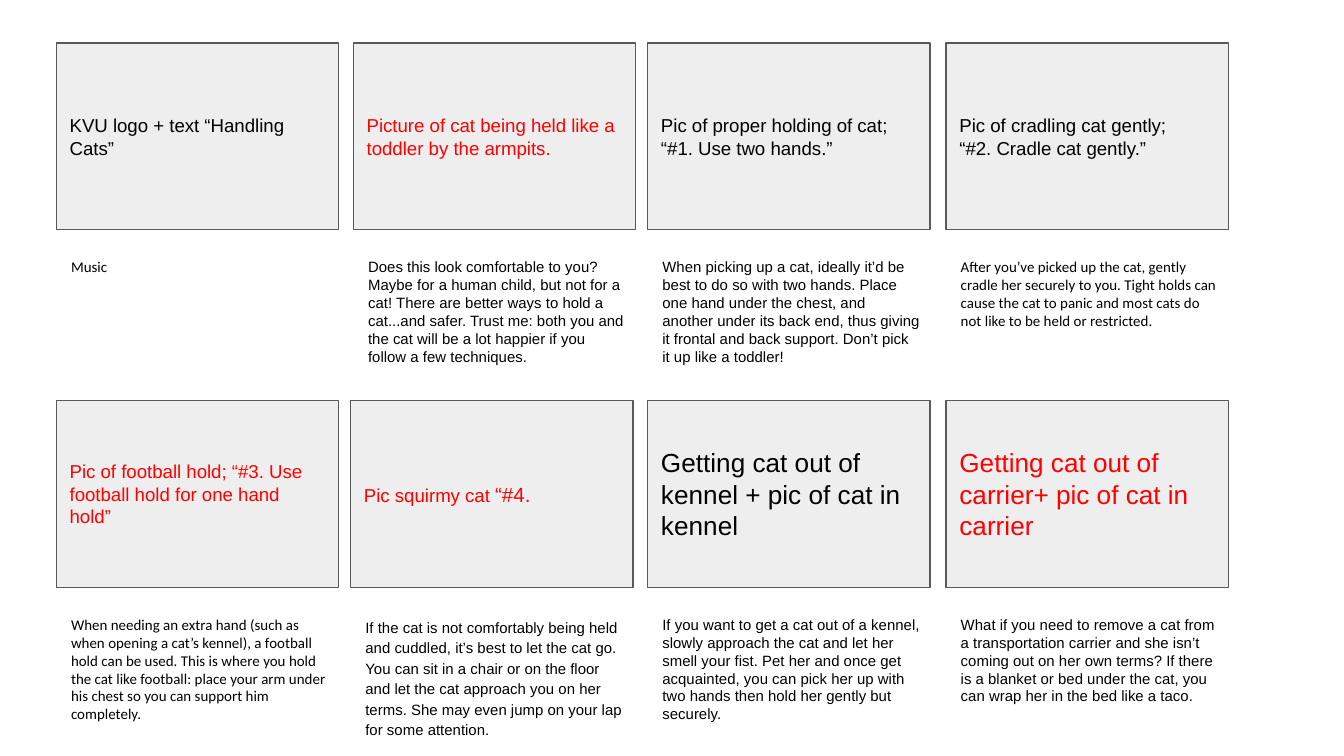
from pptx import Presentation
from pptx.dml.color import RGBColor
from pptx.enum.shapes import MSO_SHAPE
from pptx.enum.text import MSO_ANCHOR, PP_ALIGN
from pptx.util import Inches, Pt

BLACK = RGBColor(0x00, 0x00, 0x00)
RED = RGBColor(0xFF, 0x00, 0x00)
PANEL = RGBColor(0xEE, 0xEE, 0xEE)
BORDER = RGBColor(0x59, 0x59, 0x59)

deck = Presentation()
deck.slide_width = Inches(10)
deck.slide_height = deck.slide_width * 9 // 16
page = deck.slides.add_slide(deck.slide_layouts[6])


def write(box, paragraphs, anchor, font, color, spacing):
    frame = box.text_frame
    margins = dict.fromkeys(
        ["margin_left", "margin_top", "margin_right", "margin_bottom"], Inches(0.1))
    for name, value in {**margins, "word_wrap": True, "vertical_anchor": anchor}.items():
        setattr(frame, name, value)
    for index, spans in enumerate(paragraphs):
        para = frame.add_paragraph() if index else frame.paragraphs[0]
        para.alignment = PP_ALIGN.LEFT
        para.line_spacing = spacing
        for text, size in spans:
            span = para.add_run()
            span.text = text
            span.font.color.rgb = color
            for name, value in {"name": font, "size": Pt(size)}.items():
                setattr(span.font, name, value)


FRAME_TOPS = [0.32, 2.98]
FRAME_LEFTS = [[0.42, 2.63, 4.82, 7.04], [0.42, 2.61, 4.82, 7.04]]
SCENES = [
    [
        ([[("KVU logo + text “Handling Cats”", 10)]], BLACK,
         "Music", "Calibri", 1.15),
        ([[("Picture of cat being held like a toddler by the armpits.", 10)]], RED,
         "Does this look comfortable to you? Maybe for a human child, but not for a cat! "
         "There are better ways to hold a cat...and safer. Trust me: both you and the cat "
         "will be a lot happier if you follow a few techniques.", "Arial", 1.0),
        ([[("Pic of proper holding of cat; “#1. Use two hands.”", 10)]], BLACK,
         "When picking up a cat, ideally it’d be best to do so with two hands. Place one "
         "hand under the chest, and another under its back end, thus giving it frontal and "
         "back support. Don’t pick it up like a toddler!", "Arial", 1.0),
        ([[("Pic of cradling cat gently; ", 10)], [("“#2. Cradle cat gently.”", 10)]], BLACK,
         "After you’ve picked up the cat, gently cradle her securely to you. Tight holds can "
         "cause the cat to panic and most cats do not like to be held or restricted.",
         "Calibri", 1.0),
    ],
    [
        ([[("Pic of football hold; “#3. Use football hold for one hand hold” ", 10)]], RED,
         "When needing an extra hand (such as when opening a cat’s kennel), a football hold "
         "can be used. This is where you hold the cat like football: place your arm under "
         "his chest so you can support him completely.", "Calibri", 1.0),
        ([[("Pic squirmy cat ", 10), ("“#4. ", 11)]], RED,
         "If the cat is not comfortably being held and cuddled, it’s best to let the cat go. "
         "You can sit in a chair or on the floor and let the cat approach you on her terms. "
         "She may even jump on your lap for some attention.", "Arial", 1.15),
        ([[("Getting cat out of kennel + pic of cat in kennel", 14)]], BLACK,
         "If you want to get a cat out of a kennel, slowly approach the cat and let her smell "
         "your fist. Pet her and once get acquainted, you can pick her up with two hands then "
         "hold her gently but securely.", "Arial", 1.0),
        ([[("Getting cat out of carrier+ pic of cat in carrier", 14)]], RED,
         "What if you need to remove a cat from a transportation carrier and she isn’t coming "
         "out on her own terms? If there is a blanket or bed under the cat, you can wrap her "
         "in the bed like a taco.", "Arial", 1.0),
    ],
]

for top, lefts, scenes in zip(FRAME_TOPS, FRAME_LEFTS, SCENES):
    for left, (heading, color, narration, font, spacing) in zip(lefts, scenes):
        panel = page.shapes.add_shape(
            MSO_SHAPE.RECTANGLE, Inches(left), Inches(top), Inches(2.1), Inches(1.39))
        panel.shadow.inherit = False
        panel.fill.solid()
        panel.fill.fore_color.rgb = PANEL
        panel.line.color.rgb = BORDER
        panel.line.width = Pt(0.75)
        write(panel, heading, MSO_ANCHOR.MIDDLE, "Arial", color, 1.0)

        caption = page.shapes.add_textbox(
            Inches(left + 0.01), Inches(top + 1.5), Inches(2.12), Inches(0.99))
        write(caption, [[(narration, 8)]], MSO_ANCHOR.TOP, font, BLACK, spacing)

deck.save("out.pptx")
